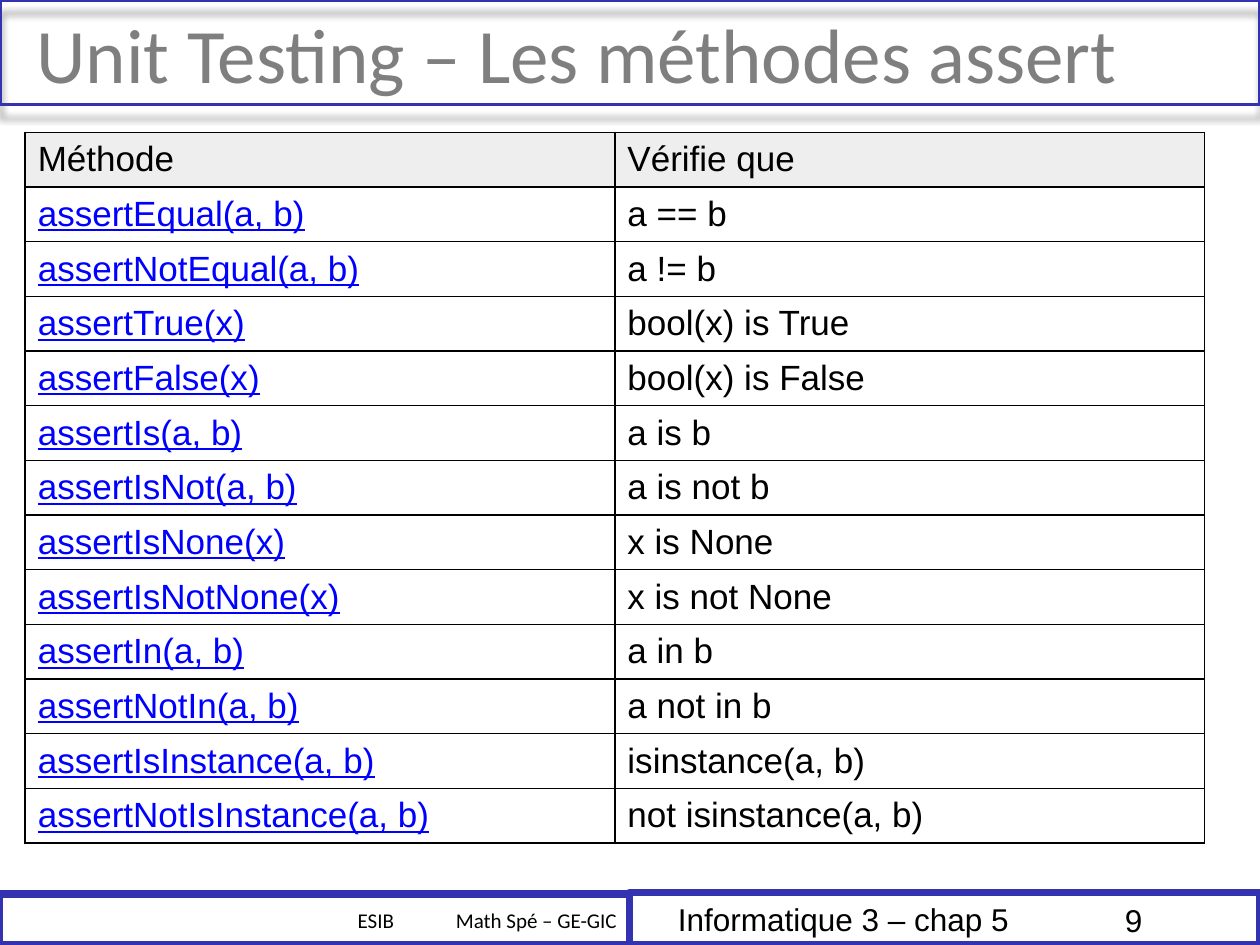
"""Build the slide listing the unittest assert methods."""
import pptx
import pptx.dml.color
import pptx.enum.shapes
import pptx.enum.text
import pptx.oxml
import pptx.util
from pptx.util import Inches

NS = 'xmlns:a="http://schemas.openxmlformats.org/drawingml/2006/main"'
MIDDLE = pptx.enum.text.MSO_ANCHOR.MIDDLE


def color(hex_string):
    """Turn a hex string into a colour."""
    return pptx.dml.color.RGBColor.from_string(hex_string)


def write(frame, text, size, font, hex_string):
    """Put one formatted paragraph into a text frame and return it."""
    frame.text = text
    paragraph = frame.paragraphs[0]
    paragraph.alignment = pptx.enum.text.PP_ALIGN.LEFT
    for run in paragraph.runs:
        run.font.size = pptx.util.Pt(size)
        run.font.name = font
        run.font.color.rgb = color(hex_string)
    return paragraph


prs = pptx.Presentation()
prs.slide_width, prs.slide_height = Inches(10), Inches(7.5)
slide = prs.slides.add_slide(prs.slide_layouts[5])

bands = []
for left, top, width, height, line_width in [
    (5, 7.08, 5, 0.42, 4),
    (0, 7.1, 5, 0.4, 4),
    (5, 7.08, 5, 0.42, 2.75),
    (0, 7.08, 5, 0.42, 2.75),
    (0, 0, 10, 0.83, 2),
]:
    band = slide.shapes.add_shape(
        pptx.enum.shapes.MSO_SHAPE.RECTANGLE,
        Inches(left), Inches(top), Inches(width), Inches(height))
    band.shadow.inherit = False
    band.fill.background()
    band.line.color.rgb = color("3333B2")
    band.line.width = pptx.util.Pt(line_width)
    band.text_frame.vertical_anchor = MIDDLE
    bands.append(band)
course_band, school_band, *_, title_band = bands

course_band.text_frame.margin_left = Inches(0.38)
write(course_band.text_frame, "Informatique 3 – chap 5", 18, "Arial", "000000")

school_band.text_frame.margin_right = 0
school = write(school_band.text_frame, "\tESIB\tMath Spé – GE-GIC", 12, "Calibri", "000000")
school._p.get_or_add_pPr().append(pptx.oxml.parse_xml(
    f'<a:tabLst {NS}><a:tab pos="{Inches(2.74)}" algn="l"/>'
    f'<a:tab pos="{Inches(3.52)}" algn="l"/></a:tabLst>'))

title_band._element.spPr.remove(title_band._element.spPr.find(
    "{http://schemas.openxmlformats.org/drawingml/2006/main}effectLst"))
title_band._element.spPr.append(pptx.oxml.parse_xml(
    f'<a:effectLst {NS}><a:outerShdw blurRad="{pptx.util.Pt(4)}" dist="{pptx.util.Pt(7)}" '
    'dir="5400000" rotWithShape="0"><a:srgbClr val="000000"><a:alpha val="40000"/>'
    '</a:srgbClr></a:outerShdw></a:effectLst>'))

title = slide.shapes.title
title.left, title.top, title.width, title.height = 0, 0, Inches(9.75), Inches(0.83)
title_frame = title.text_frame
title_frame.margin_left = title_frame.margin_right = Inches(0.1)
title_frame.margin_top = title_frame.margin_bottom = Inches(0.1)
title_frame.vertical_anchor = MIDDLE
title_frame.auto_size = pptx.enum.text.MSO_AUTO_SIZE.NONE
heading = write(title_frame, "Unit Testing – Les méthodes assert", 44, "Calibri", "7F7F7F")
heading_properties = heading._p.get_or_add_pPr()
heading_properties.set("marL", str(Inches(0.2)))
heading_properties.set("indent", str(Inches(-0.01)))
title._element.getparent().append(title._element)

page_number = slide.shapes.add_textbox(Inches(8.83), Inches(7.1), Inches(1.17), Inches(0.4))
page_number.text_frame.word_wrap = True
write(page_number.text_frame, "9", 18, "Arial", "000000")

methods = [
    ("Méthode", "Vérifie que"),
    ("assertEqual(a, b)", "a == b"),
    ("assertNotEqual(a, b)", "a != b"),
    ("assertTrue(x)", "bool(x) is True"),
    ("assertFalse(x)", "bool(x) is False"),
    ("assertIs(a, b)", "a is b"),
    ("assertIsNot(a, b)", "a is not b"),
    ("assertIsNone(x)", "x is None"),
    ("assertIsNotNone(x)", "x is not None"),
    ("assertIn(a, b)", "a in b"),
    ("assertNotIn(a, b)", "a not in b"),
    ("assertIsInstance(a, b)", "isinstance(a, b)"),
    ("assertNotIsInstance(a, b)", "not isinstance(a, b)"),
]
method_table = slide.shapes.add_table(
    len(methods), 2, Inches(0.2), Inches(1.05), Inches(9.36), Inches(5.64)).table
for row, texts in enumerate(methods):
    for column, text in enumerate(texts):
        cell = method_table.cell(row, column)
        is_method = row > 0 and column == 0
        entry = write(cell.text_frame, text, 20, "Arial", "0000FF" if is_method else "000000")
        entry.runs[0].font.bold = False
        entry.runs[0].font.underline = is_method
        cell.vertical_anchor = MIDDLE
        for side in "LRTB":
            cell._tc.get_or_add_tcPr().append(pptx.oxml.parse_xml(
                f'<a:ln{side} {NS} w="{pptx.util.Pt(1)}"><a:solidFill>'
                f'<a:srgbClr val="000000"/></a:solidFill></a:ln{side}>'))
        cell.fill.solid()
        cell.fill.fore_color.rgb = color("FFFFFF" if row else "EEEEEE")

prs.save("out.pptx")
